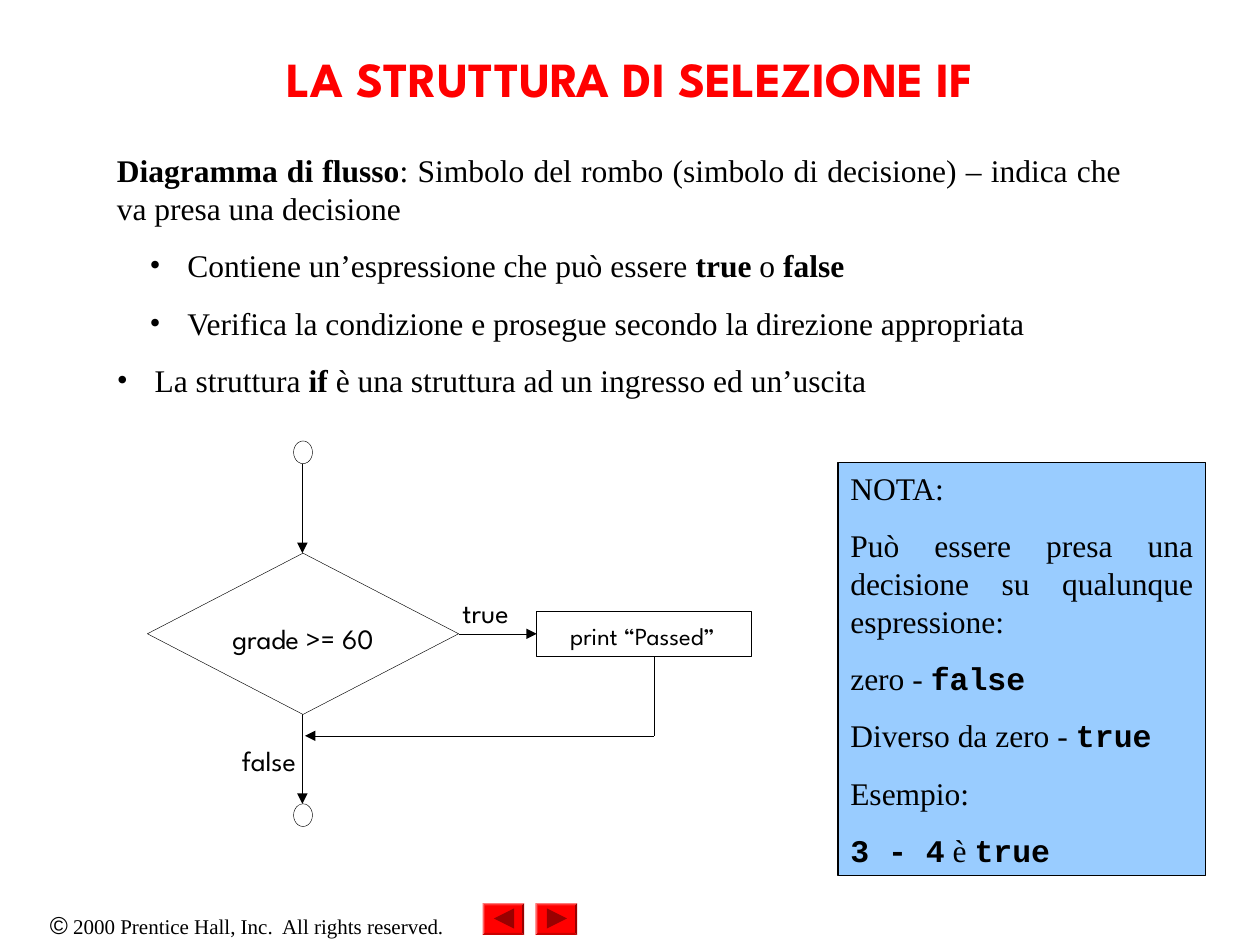
from lxml import etree
from pptx import Presentation
from pptx.dml.color import RGBColor
from pptx.enum.shapes import MSO_CONNECTOR, MSO_SHAPE
from pptx.enum.text import MSO_ANCHOR, PP_ALIGN
from pptx.oxml.ns import qn
from pptx.util import Inches, Pt

COLORS = {"black": "000000", "white": "FFFFFF", "red": "FF0000",
          "dark": "990000", "note": "99CCFF"}
SERIF, SANS, MONO, SYMBOL = "Times New Roman", "League Spartan", "Courier New", "Arial"
LEFT, CENTER, JUSTIFY = PP_ALIGN.LEFT, PP_ALIGN.CENTER, PP_ALIGN.JUSTIFY


def rgb(name):
    return RGBColor.from_string(COLORS[name])


def add_bullet(p, margin, hang):
    pPr = p._p.get_or_add_pPr()
    pPr.set("marL", str(Inches(margin)))
    pPr.set("indent", str(-Inches(hang)))
    etree.SubElement(pPr, qn("a:buFont")).set("typeface", SERIF)
    etree.SubElement(pPr, qn("a:buChar")).set("char", "•")


def write(p, text, size=18, font=SERIF, color="black", bold=False,
          align=LEFT, before=0, em_font=None, bullet=None):
    """Fill a paragraph, setting the parts between asterisks in bold."""
    if bullet:
        add_bullet(p, *bullet)
    p.alignment = align
    p.space_before = Pt(before)
    for i, part in enumerate(text.split("*")):
        if part:
            em = i % 2 == 1
            r = p.add_run()
            r.text = part
            r.font.size = Pt(size)
            r.font.name = em_font if em and em_font else font
            r.font.bold = bold or em
            r.font.color.rgb = rgb(color)


class Deck:
    def __init__(self):
        self.prs = Presentation()
        self.prs.slide_width, self.prs.slide_height = Inches(10), Inches(7.5)
        self.s = self.prs.slides.add_slide(self.prs.slide_layouts[6])

    def frame(self, sp, inset=True, anchor=MSO_ANCHOR.TOP):
        tf = sp.text_frame
        tf.word_wrap = True
        tf.vertical_anchor = anchor
        tf.margin_left = tf.margin_right = Inches(0.1 if inset else 0)
        tf.margin_top = tf.margin_bottom = Inches(0.05 if inset else 0)
        return tf

    def box(self, *at, **kw):
        return self.frame(self.s.shapes.add_textbox(*map(Inches, at)), **kw)

    def label(self, text, *at, **kw):
        write(self.box(*at, inset=False).paragraphs[0], text, font=SANS, **kw)

    def style(self, sp, fill, line):
        sp.shadow.inherit = False
        if fill:
            sp.fill.solid()
            sp.fill.fore_color.rgb = rgb(fill)
        else:
            sp.fill.background()
        if line:
            sp.line.color.rgb = rgb("black")
            sp.line.width = Pt(line)
        else:
            sp.line.fill.background()
        return sp

    def shape(self, kind, *at, fill=None, line=0.25):
        sp = self.s.shapes.add_shape(kind, *map(Inches, at))
        return self.style(sp, fill, line)

    def line(self, *ends, arrow=True):
        c = self.s.shapes.add_connector(MSO_CONNECTOR.STRAIGHT, *map(Inches, ends))
        c.line.color.rgb = rgb("black")
        c.line.width = Pt(0.25)
        if arrow:
            etree.SubElement(c.line._get_or_add_ln(), qn("a:tailEnd")).set("type", "triangle")
        etree.SubElement(c._element.spPr, qn("a:effectLst"))

    def button(self, x, y, direction):
        sp = self.shape(MSO_SHAPE.BEVEL, x, y, 0.33, 0.25, fill="red", line=None)
        sp.adjustments[0] = 0.06
        cx, cy, d = x + 0.17, y + 0.12, 0.08
        back, tip = cx - d * direction, cx + d * direction
        fb = self.s.shapes.build_freeform(Inches(back), Inches(cy - d))
        fb.add_line_segments([(Inches(tip), Inches(cy)), (Inches(back), Inches(cy + d))])
        self.style(fb.convert_to_shape(), "dark", None)

    def paragraphs(self, tf, items, **common):
        for i, (text, kw) in enumerate(items):
            p = tf.add_paragraph() if i else tf.paragraphs[0]
            write(p, text, before=11.2 if i else 0, **common, **kw)


def main():
    d = Deck()

    p = d.box(0, 7.17, 3.92, 0.34).paragraphs[0]
    write(p, "©", size=14, font=SYMBOL, align=CENTER)
    write(p, " 2000 Prentice Hall, Inc.  All rights reserved.", size=12, align=CENTER)
    d.button(3.83, 7.17, -1)
    d.button(4.25, 7.17, 1)

    title = d.box(0.75, 0.08, 8.5, 1.08, anchor=MSO_ANCHOR.MIDDLE)
    write(title.paragraphs[0], "LA STRUTTURA DI SELEZIONE IF", size=28, font=SANS,
          color="red", bold=True, align=CENTER)

    sub, top = {"bullet": (0.56, 0.3)}, {"bullet": (0.3, 0.3)}
    d.paragraphs(d.box(0.83, 1.15, 8.17, 2.07), [
        ("*Diagramma di flusso*: Simbolo del rombo (simbolo di decisione) – "
         "indica che va presa una decisione", {}),
        ("Contiene un’espressione che può essere *true* o *false*", sub),
        ("Verifica la condizione e prosegue secondo la direzione appropriata", sub),
        ("La struttura* if* è una struttura ad un ingresso ed un’uscita", top),
    ], align=JUSTIFY)

    axis, middle, merge, drop = 2.4, 5.03, 5.84, 5.19
    for y in (3.5, 6.38):
        d.shape(MSO_SHAPE.OVAL, axis - 0.07, y, 0.15, 0.18)
    d.line(axis, 3.68, axis, 4.39)
    d.line(axis, 5.67, axis, 6.38)
    d.line(3.64, middle, 4.26, middle)
    d.line(drop, 5.21, drop, merge, arrow=False)
    d.line(drop, merge, axis + 0.02, merge)
    d.shape(MSO_SHAPE.DIAMOND, 1.17, 4.39, 2.47, 1.28, fill="white")
    d.shape(MSO_SHAPE.RECTANGLE, 4.26, 4.85, 1.7, 0.36)
    d.label("true", 3.67, 4.73, 0.55, 0.36, size=16)
    d.label("false", 1.92, 5.9, 0.67, 0.36, size=16)
    d.label("grade >= 60", 1.71, 4.93, 1.39, 0.27, size=16, align=CENTER)
    d.label("print “Passed”", 4.36, 4.93, 1.48, 0.25, size=14, align=CENTER)

    note = d.shape(MSO_SHAPE.RECTANGLE, 6.65, 3.67, 2.92, 3.28, fill="note", line=0.75)
    just = {"align": JUSTIFY}
    d.paragraphs(d.frame(note), [
        ("NOTA:", just),
        ("Può essere presa una decisione su qualunque espressione:", just),
        ("zero - *false*", {}),
        ("Diverso da zero - *true*", {}),
        ("Esempio:", {}),
        ("*3 - 4* è *true*", {}),
    ], em_font=MONO)

    d.prs.save("out.pptx")


if __name__ == "__main__":
    main()
